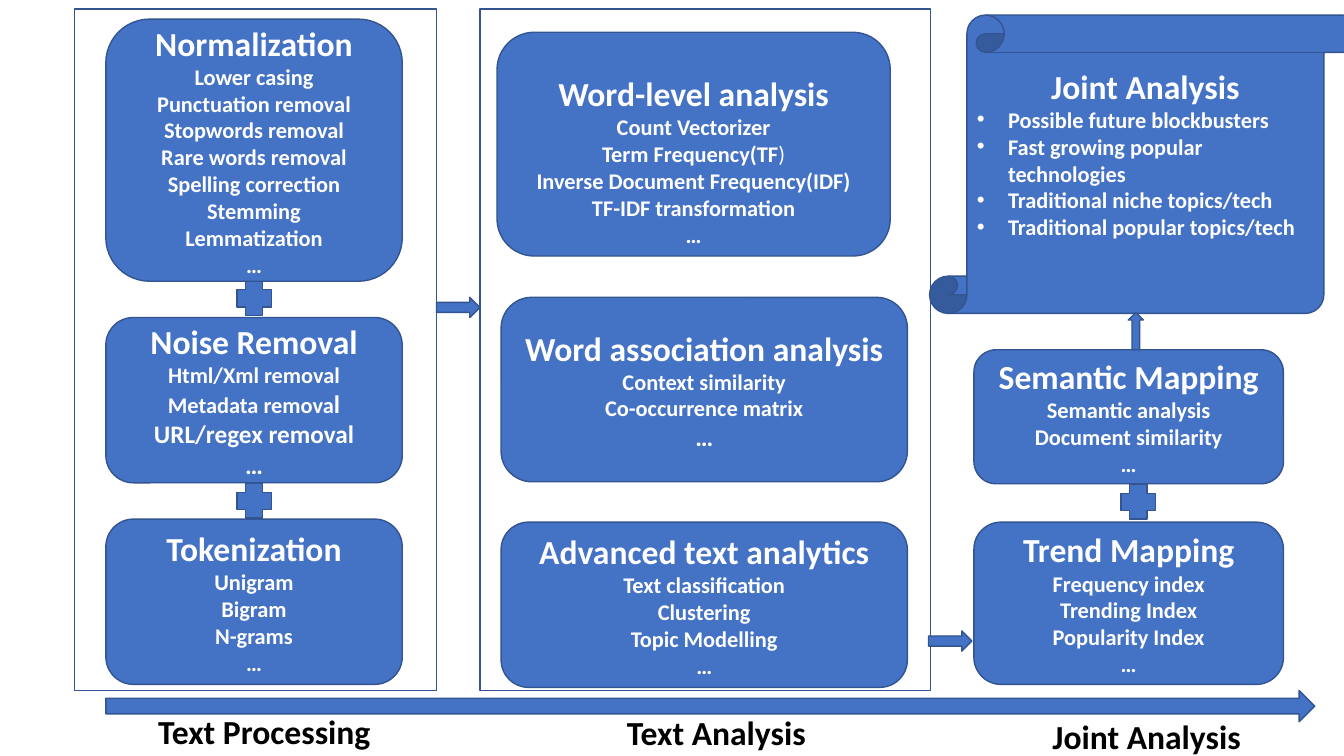
from dataclasses import dataclass

from lxml.etree import SubElement
from pptx import Presentation
from pptx.dml.color import RGBColor
from pptx.enum.shapes import MSO_SHAPE
from pptx.enum.text import MSO_ANCHOR, PP_ALIGN
from pptx.oxml.ns import qn
from pptx.util import Inches, Pt

FONT = "Calibri"
BLUE, OUTLINE, WHITE, BLACK = "4472C4", "325491", "FFFFFF", "000000"
TITLE_SIZE, ITEM_SIZE = 24, 16
BULLET_INDENT = 0.31


@dataclass
class Span:
    text: str
    size: int = ITEM_SIZE
    bold: bool = True


@dataclass
class Card:
    left: float
    top: float
    width: float
    height: float
    title: str
    items: list[str | list[Span]]
    kind: MSO_SHAPE = MSO_SHAPE.ROUNDED_RECTANGLE
    bulleted: bool = False
    inset_top: float = 0
    inset_bottom: float = 0


@dataclass
class Mark:
    kind: MSO_SHAPE
    left: float
    top: float
    width: float
    height: float


@dataclass
class Label:
    left: float
    top: float
    text: str


# Column frames
FRAMES = [
    Mark(MSO_SHAPE.RECTANGLE, 0.74, 0.09, 3.59, 6.76),
    Mark(MSO_SHAPE.RECTANGLE, 4.76, 0.09, 4.47, 6.76),
]

# Steps of each column
CARDS = [
    Card(1.05, 0.19, 2.94, 2.6, "Normalization",
         ["Lower casing", "Punctuation removal", "Stopwords removal", "Rare words removal",
          "Spelling correction", "Stemming", "Lemmatization", "…"]),
    Card(1.05, 3.15, 2.94, 1.64, "Noise Removal",
         ["Html/Xml removal", [Span("Metadata remova"), Span("l", 18)],
          [Span("URL/regex removal", 18)], [Span("…", 18)]]),
    Card(1.05, 5.15, 2.94, 1.64, "Tokenization", ["Unigram", "Bigram", "N-grams", "…"]),
    Card(4.93, 0.32, 3.9, 2.22, "Word-level analysis",
         ["Count Vectorizer", [Span("Term Frequency(TF"), Span(")", bold=False)],
          "Inverse Document Frequency(IDF)", "TF-IDF transformation", "…"], inset_top=0.32),
    Card(4.97, 2.95, 4.03, 1.83, "Word association analysis",
         ["Context similarity", "Co-occurrence matrix", [Span("…", 18)]]),
    Card(4.97, 5.18, 4.03, 1.64, "Advanced text analytics",
         ["Text classification", "Clustering", "Topic Modelling", "…"]),
    Card(9.66, 5.18, 3.07, 1.61, "Trend Mapping",
         ["Frequency index", "Trending Index", "Popularity Index", "…"]),
    Card(9.66, 3.47, 3.07, 1.33, "Semantic Mapping",
         ["Semantic analysis", "Document similarity", "…"]),
    Card(9.22, 0.15, 4.28, 2.96, "Joint Analysis",
         ["Possible future blockbusters", "Fast growing popular technologies",
          "Traditional niche topics/tech", "Traditional popular topics/tech"],
         MSO_SHAPE.VERTICAL_SCROLL, bulleted=True, inset_bottom=0.41),
]

# Plus signs and arrows between the steps
MARKS = [
    *(Mark(MSO_SHAPE.CROSS, left, top, 0.34, 0.34)
      for left, top in [(2.35, 2.79), (2.35, 4.8), (11.12, 4.81)]),
    *(Mark(MSO_SHAPE.RIGHT_ARROW, left, top, 0.43, 0.2)
      for left, top in [(4.33, 2.95), (9.21, 6.26)]),
    Mark(MSO_SHAPE.UP_ARROW, 11.19, 3.1, 0.15, 0.37),
    Mark(MSO_SHAPE.RIGHT_ARROW, 1.05, 6.85, 11.99, 0.31),
]

LABELS = [
    Label(1.47, 7, "Text Processing"),
    Label(6.12, 7.01, "Text Analysis"),
    Label(10.34, 7.05, "Joint Analysis"),
]


def rgb(color: str) -> RGBColor:
    return RGBColor.from_string(color)


def add_span(p, span: Span, color: str) -> None:
    r = p.add_run()
    r.text = span.text
    r.font.name = FONT
    r.font.size = Pt(span.size)
    r.font.bold = span.bold
    r.font.color.rgb = rgb(color)


def add_bullet(p) -> None:
    pPr = p._p.get_or_add_pPr()
    pPr.set("marL", str(Inches(BULLET_INDENT)))
    pPr.set("indent", str(-Inches(BULLET_INDENT)))
    SubElement(pPr, qn("a:buFont"), typeface="Arial")
    SubElement(pPr, qn("a:buChar"), char="•")


def draw_shape(s, item: Mark | Card, filled: bool = True):
    sp = s.shapes.add_shape(item.kind, Inches(item.left), Inches(item.top),
                            Inches(item.width), Inches(item.height))
    sp.shadow.inherit = False
    if filled:
        sp.fill.solid()
        sp.fill.fore_color.rgb = rgb(BLUE)
    else:
        sp.fill.background()
    sp.line.color.rgb = rgb(OUTLINE)
    sp.line.width = Pt(1)
    return sp


def draw_card(s, card: Card) -> None:
    tf = draw_shape(s, card).text_frame
    tf.word_wrap = True
    tf.vertical_anchor = MSO_ANCHOR.MIDDLE
    tf.margin_top = Inches(card.inset_top)
    tf.margin_bottom = Inches(card.inset_bottom)
    p = tf.paragraphs[0]
    p.alignment = PP_ALIGN.CENTER
    add_span(p, Span(card.title, TITLE_SIZE), WHITE)
    for item in card.items:
        p = tf.add_paragraph()
        p.alignment = PP_ALIGN.LEFT if card.bulleted else PP_ALIGN.CENTER
        if card.bulleted:
            add_bullet(p)
        for span in [Span(item)] if isinstance(item, str) else item:
            add_span(p, span, WHITE)


def draw_label(s, label: Label) -> None:
    tf = s.shapes.add_textbox(Inches(label.left), Inches(label.top),
                              Inches(2.47), Inches(0.5)).text_frame
    tf.word_wrap = True
    add_span(tf.paragraphs[0], Span(label.text, TITLE_SIZE), BLACK)


def main() -> None:
    prs = Presentation()
    prs.slide_width, prs.slide_height = Inches(13.33), Inches(7.5)
    s = prs.slides.add_slide(prs.slide_layouts[6])
    for frame in FRAMES:
        draw_shape(s, frame, filled=False)
    for card in CARDS:
        draw_card(s, card)
    for mark in MARKS:
        draw_shape(s, mark)
    for label in LABELS:
        draw_label(s, label)
    prs.save("out.pptx")


if __name__ == "__main__":
    main()
